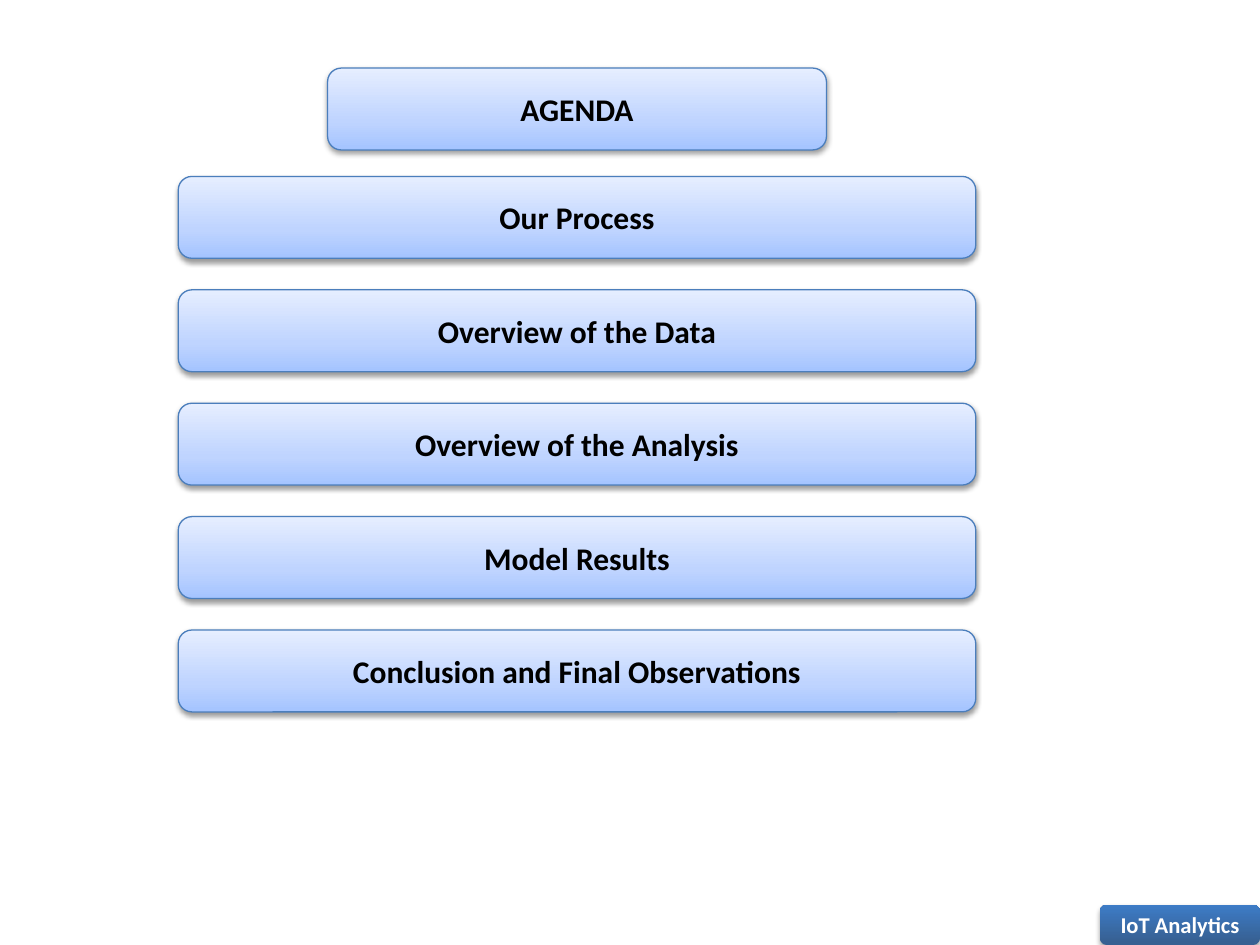
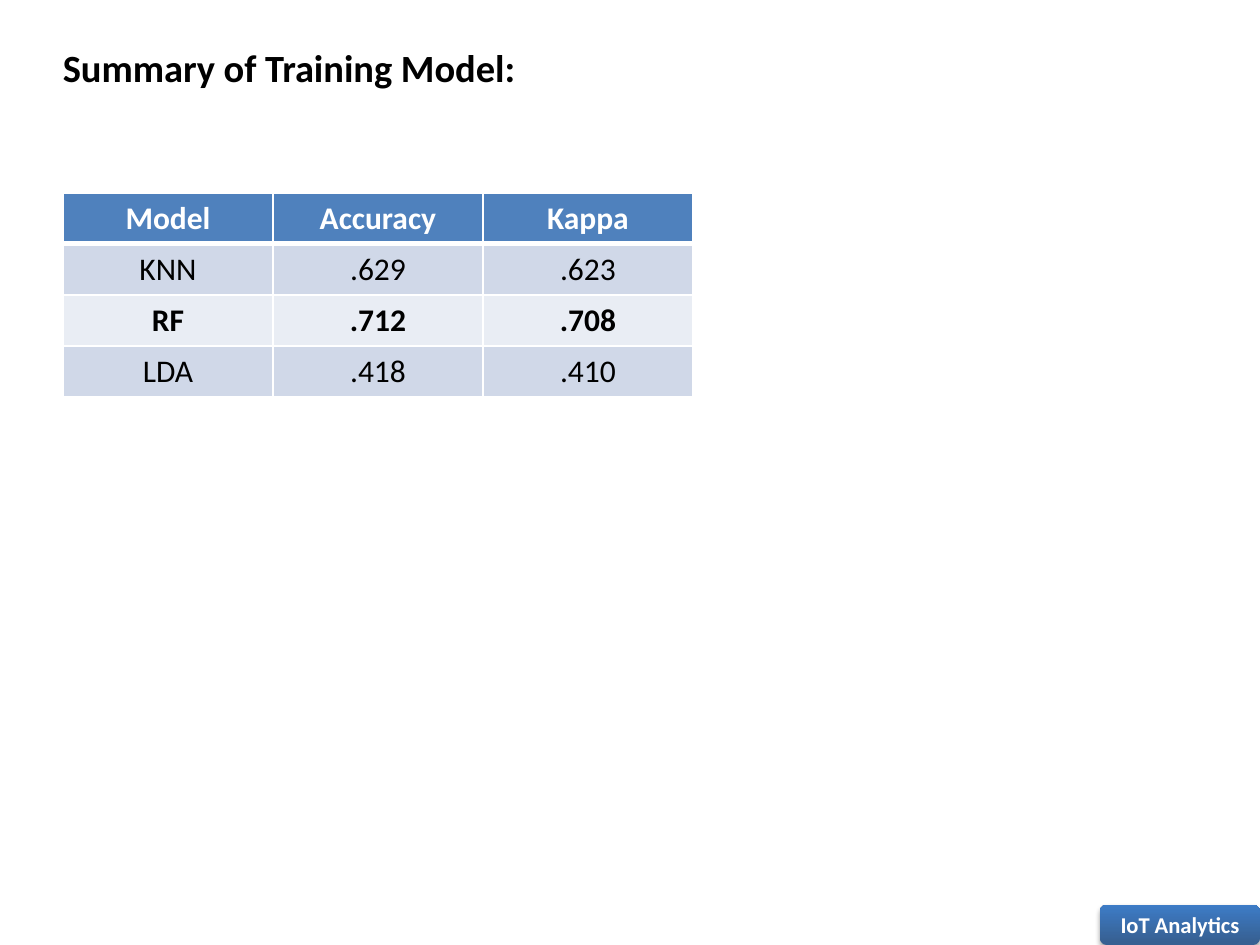
"""Agenda and training model summary, two slides."""
from dataclasses import dataclass
from typing import Optional

from lxml.etree import SubElement
from pptx import Presentation
from pptx.dml.color import RGBColor
from pptx.enum.shapes import MSO_SHAPE
from pptx.enum.text import MSO_ANCHOR, MSO_AUTO_SIZE, PP_ALIGN
from pptx.oxml.ns import qn
from pptx.util import Inches, Pt

FONT = "Calibri"
BLACK, WHITE = "000000", "FFFFFF"
HEADER_FILL, BAND_FILLS = "4F81BD", ("D0D8E8", "E9EDF4")

presentation = Presentation()
presentation.slide_width, presentation.slide_height = Inches(10), Inches(7.5)
GRID_COLUMNS, GRID_ROWS = 100, 75


@dataclass(frozen=True)
class Area:
    """A rectangle in grid columns and rows."""
    column: float
    row: float
    columns: float
    rows: float

    def lengths(self) -> tuple:
        """Return left, top, width and height in slide units."""
        across = presentation.slide_width / GRID_COLUMNS
        down = presentation.slide_height / GRID_ROWS
        return (round(self.column * across), round(self.row * down),
                round(self.columns * across), round(self.rows * down))


@dataclass(frozen=True)
class ButtonStyle:
    """The look of a rounded button; stops run from bottom to top."""
    stops: tuple
    line: Optional[str]
    text_color: str
    text_size: float
    shadow_opacity: int
    shadow_distance: float


AGENDA_STYLE = ButtonStyle(((0, "A4C4FF"), (35, "BFD4FF"), (100, "E6EEFF")),
                           "4B7EBC", BLACK, 18, 38, 1.6)
FOOTER_STYLE = ButtonStyle(((7, "376092"), (100, "3D7CC7")),
                           None, WHITE, 12.9, 35, 1.8)
SHADOW_BLUR = 3.1


def color(value: str) -> RGBColor:
    """Turn a hex string into a colour."""
    return RGBColor.from_string(value)


def add_run(paragraph, text: str, size: float, text_color: str, bold: bool) -> None:
    """Add one formatted run to a paragraph."""
    run = paragraph.add_run()
    run.text = text
    run.font.name, run.font.size, run.font.bold = FONT, Pt(size), bold
    run.font.color.rgb = color(text_color)


def set_gradient(shape, stops: tuple) -> None:
    """Fill a shape with a gradient rising from bottom to top."""
    shape.fill.gradient()
    shape.fill.gradient_angle = 90
    stop_list = next(shape._element.spPr.iter(qn("a:gsLst")))
    for old_stop in list(stop_list):
        stop_list.remove(old_stop)
    for percent, value in stops:
        stop = SubElement(stop_list, qn("a:gs"), pos=str(percent * 1000))
        SubElement(stop, qn("a:srgbClr"), val=value)


def set_shadow(shape, opacity: int, distance: float) -> None:
    """Give a shape a soft black shadow below it."""
    shape.shadow.inherit = False
    effects = shape._element.spPr.find(qn("a:effectLst"))
    shadow = SubElement(effects, qn("a:outerShdw"), blurRad=str(Pt(SHADOW_BLUR)),
                        dist=str(Pt(distance)), dir="5400000", rotWithShape="0")
    shade = SubElement(shadow, qn("a:srgbClr"), val=BLACK)
    SubElement(shade, qn("a:alpha"), val=str(opacity * 1000))


def add_button(slide, area: Area, text: str, style: ButtonStyle) -> None:
    """Draw a rounded button with a centred bold label."""
    shape = slide.shapes.add_shape(MSO_SHAPE.ROUNDED_RECTANGLE, *area.lengths())
    set_gradient(shape, style.stops)
    if style.line:
        shape.line.color.rgb = color(style.line)
        shape.line.width = Pt(0.75)
    else:
        shape.line.fill.background()
    set_shadow(shape, style.shadow_opacity, style.shadow_distance)
    frame = shape.text_frame
    frame.word_wrap, frame.vertical_anchor = True, MSO_ANCHOR.MIDDLE
    paragraph = frame.paragraphs[0]
    paragraph.alignment = PP_ALIGN.CENTER
    add_run(paragraph, text, style.text_size, style.text_color, True)


def add_title(slide, area: Area, text: str) -> None:
    """Write a slide title."""
    frame = slide.shapes.add_textbox(*area.lengths()).text_frame
    frame.word_wrap, frame.auto_size = True, MSO_AUTO_SIZE.SHAPE_TO_FIT_TEXT
    add_run(frame.paragraphs[0], text, 22, BLACK, True)


def set_borders(cell, bottom_width: float) -> None:
    """Draw white cell borders, placed ahead of the cell's fill."""
    properties = cell._tc.get_or_add_tcPr()
    widths = {"a:lnL": 1, "a:lnR": 1, "a:lnT": 1, "a:lnB": bottom_width}
    for position, (side, width) in enumerate(widths.items()):
        line = SubElement(properties, qn(side), w=str(Pt(width)))
        SubElement(SubElement(line, qn("a:solidFill")), qn("a:srgbClr"), val=WHITE)
        properties.insert(position, line)


def add_model_table(slide, area: Area, records: list, best_model: str) -> None:
    """Draw a banded table with a header row and the best model in bold."""
    left, top, width, height = area.lengths()
    table = slide.shapes.add_table(len(records), len(records[0]),
                                   left, top, width, height).table
    for row_index, record in enumerate(records):
        header = row_index == 0
        fill = HEADER_FILL if header else BAND_FILLS[(row_index - 1) % 2]
        for column_index, text in enumerate(record):
            cell = table.cell(row_index, column_index)
            cell.fill.solid()
            cell.fill.fore_color.rgb = color(fill)
            # The line under the header is shared with the row below it.
            set_borders(cell, 3 if header else 1)
            if row_index == 1:
                cell._tc.tcPr.find(qn("a:lnT")).set("w", str(Pt(3)))
            paragraph = cell.text_frame.paragraphs[0]
            paragraph.alignment = PP_ALIGN.CENTER
            add_run(paragraph, text, 18, WHITE if header else BLACK,
                    header or record[0] == best_model)


def add_slide():
    """Add a blank slide with the shared footer button."""
    slide = presentation.slides.add_slide(presentation.slide_layouts[6])
    add_button(slide, Area(87.3, 71.8, 12.7, 3.2), "IoT Analytics", FOOTER_STYLE)
    return slide


def build_agenda() -> None:
    """Build the agenda: a heading button above evenly spaced topics."""
    topics = ("Our Process", "Overview of the Data", "Overview of the Analysis",
              "Model Results", "Conclusion and Final Observations")
    left, width, heading_width, height = 14.15, 63.3, 39.6, 6.5
    first_row, pitch = 14, 9
    slide = add_slide()
    heading_left = left + (width - heading_width) / 2
    add_button(slide, Area(heading_left, 5.4, heading_width, height),
               "AGENDA", AGENDA_STYLE)
    for index, topic in enumerate(topics):
        add_button(slide, Area(left, first_row + index * pitch, width, height),
                   topic, AGENDA_STYLE)


def build_model_summary() -> None:
    """Build the summary of the trained models."""
    records = [("Model", "Accuracy", "Kappa"),
               ("KNN", ".629", ".623"),
               ("RF", ".712", ".708"),
               ("LDA", ".418", ".410")]
    slide = add_slide()
    add_title(slide, Area(4, 3, 77.5, 4.7), "Summary of Training Model:")
    add_model_table(slide, Area(5, 15.3, 50, 16.2), records, "RF")


build_agenda()
build_model_summary()
presentation.save("out.pptx")
